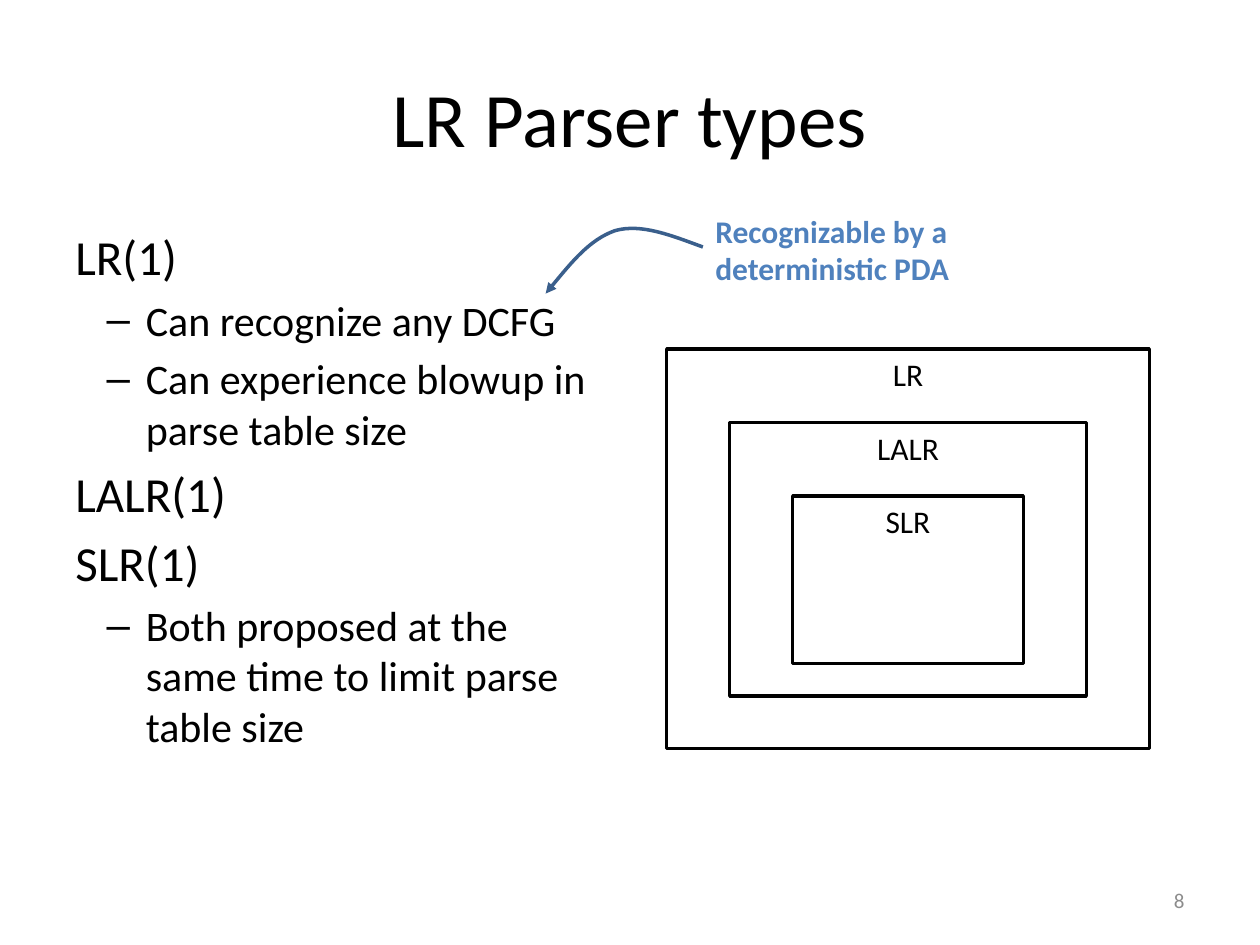
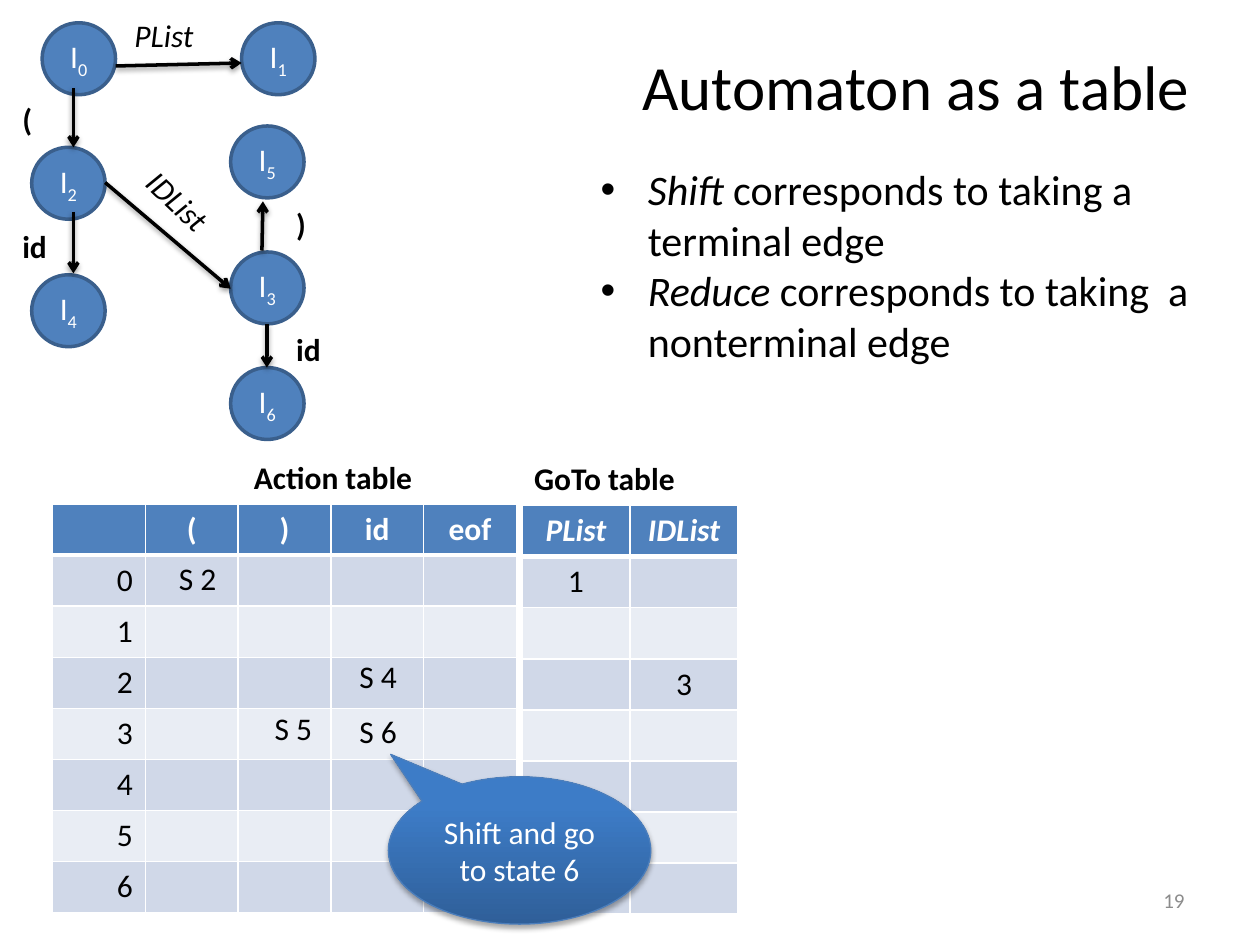
from lxml.etree import SubElement
from pptx import Presentation
from pptx.dml.color import RGBColor
from pptx.enum.shapes import MSO_CONNECTOR, MSO_SHAPE
from pptx.enum.text import MSO_ANCHOR, MSO_AUTO_SIZE, PP_ALIGN
from pptx.oxml.ns import qn
from pptx.util import Cm, Pt

FONT = "Calibri"
BLACK = RGBColor(0x00, 0x00, 0x00)
WHITE = RGBColor(0xFF, 0xFF, 0xFF)
BLUE = RGBColor(0x4F, 0x81, 0xBD)
DARK_BLUE = RGBColor(0x3A, 0x5F, 0x8C)
GREY = RGBColor(0x8C, 0x8C, 0x8C)
BANDS = RGBColor(0xD0, 0xD8, 0xE8), RGBColor(0xE9, 0xED, 0xF4)
CALLOUT_DARK = RGBColor(0x2F, 0x5F, 0x99)
CALLOUT_LIGHT = RGBColor(0x3D, 0x7C, 0xC7)
CALLOUT_LINE = RGBColor(0x4B, 0x7E, 0xBC)

# A paragraph is a string or a list of (text, style) runs.
# All places and sizes are in centimetres.
PARSER_TYPES = [
    ("LR(1)", ["Can recognize any DCFG", "Can experience blowup in parse table size"]),
    ("LALR(1)", []),
    ("SLR(1)", ["Both proposed at the same time to limit parse table size"]),
]
CLASSES = [("LR", 8.05), ("LALR", 5.51), ("SLR", 3.38)]  # name, height
DCFG_NOTE = ["Recognizable by a", "deterministic PDA"]
DCFG_CURVE = [(14.17, 4.98), (13.54, 4.75), (12.93, 4.5), (12.4, 4.65),
              (11.89, 4.83), (11.46, 5.36), (11, 5.92)]

EDGE_NOTES = [
    [("Shift", "i"), (" corresponds to taking a terminal edge", "")],
    [("Reduce", "i"), (" corresponds to taking  a nonterminal edge", "")],
]
STATES = {0: (0.85, 0.46), 1: (4.87, 0.46), 2: (0.64, 2.97), 3: (4.65, 5.08),
          4: (0.64, 5.54), 5: (4.65, 2.54), 6: (4.65, 7.41)}
EDGES = [
    (2.33, 1.33, 4.87, 1.27), (1.48, 1.78, 1.48, 2.97), (1.48, 4.27, 1.48, 5.51),
    (2.12, 3.68, 4.65, 5.82), (5.28, 5.05, 5.3, 4.06), (5.38, 6.53, 5.38, 7.41),
]
TERMINALS = [("(", 0.2, 1.9, 0.71), ("id", 0.2, 4.45, 1.02),
             (")", 5.72, 4.01, 0.71), ("id", 5.72, 6.53, 1.02)]
NONTERMINALS = [("PList", 2.46, 0.2, 1.73, 0), ("IDList", 2.62, 3.56, 1.96, 43.7)]
ACTION_ROWS = [["", "(", ")", "id", "eof"]] + [[str(n), "", "", "", ""] for n in range(7)]
GOTO_ROWS = [["PList", "IDList"], ["1", ""], ["", ""], ["", "3"]] + [["", ""]] * 4
SHIFTS = [("S 2", 3.35, 11.15), ("S 4", 6.99, 13.13), ("S 6", 6.99, 14.22), ("S 5", 5.28, 14.17)]
LABEL_H = 1.02
ROW_H = 1.03


def cm(*lengths):
    return [Cm(v) for v in lengths]


def write(tf, paras, size=18, color=BLACK, bold=False, italic=False,
          align=PP_ALIGN.LEFT, anchor=MSO_ANCHOR.TOP):
    """Fill a text frame; run style "i" is italic and "sub" a subscript."""
    tf.vertical_anchor = anchor
    for i, para in enumerate([paras] if isinstance(paras, str) else paras):
        p = tf.paragraphs[0] if i == 0 else tf.add_paragraph()
        p.alignment = align
        for text, style in [(para, "")] if isinstance(para, str) else para:
            r = p.add_run()
            r.text = text
            f = r.font
            f.name, f.size, f.bold = FONT, Pt(size), bold
            f.italic = italic or style == "i"
            f.color.rgb = color
            if style == "sub":
                r._r.get_or_add_rPr().set("baseline", "-25000")


def add_text(s, paras, box, wrap=True, rotation=0, **fmt):
    tb = s.shapes.add_textbox(*cm(*box))
    tb.rotation = rotation
    tf = tb.text_frame
    tf.word_wrap = wrap
    if not wrap:
        tf.auto_size = MSO_AUTO_SIZE.SHAPE_TO_FIT_TEXT
    write(tf, paras, **fmt)
    return tf


def add_label(s, text, left, top, width, **fmt):
    add_text(s, text, (left, top, width, LABEL_H), wrap=False, **fmt)


def add_number(s, number):
    add_text(s, number, (18.21, 17.65, 5.92, 1.01), size=12, color=GREY,
             align=PP_ALIGN.RIGHT, anchor=MSO_ANCHOR.MIDDLE)


def set_bullet(p, char, left, hang):
    pPr = p._p.get_or_add_pPr()
    pPr.set("marL", str(Cm(left)))
    pPr.set("indent", str(-Cm(hang)))
    SubElement(pPr, qn("a:buFont"), typeface="Arial")
    SubElement(pPr, qn("a:buChar"), char=char)


def set_line(shape, color, width=2):
    shape.line.color.rgb = color
    shape.line.width = Pt(width)


def set_arrow(shape, kind):
    SubElement(shape._element.spPr.find(qn("a:ln")), qn("a:tailEnd"), type=kind)


def set_shadow(shape, alpha, blur, dist):
    """Put a black shadow below the shape, after its line is set."""
    effects = SubElement(shape._element.spPr, qn("a:effectLst"))
    shadow = SubElement(effects, qn("a:outerShdw"), blurRad=str(Pt(blur)),
                        dist=str(Pt(dist)), dir="5400000", rotWithShape="0")
    black = SubElement(shadow, qn("a:srgbClr"), val=str(BLACK))
    SubElement(black, qn("a:alpha"), val=str(alpha * 1000))


def add_box(s, kind, box, paras, fill, line, **fmt):
    shape = s.shapes.add_shape(kind, *cm(*box))
    shape.shadow.inherit = False
    shape.fill.solid()
    shape.fill.fore_color.rgb = fill
    set_line(shape, line)
    write(shape.text_frame, paras, align=PP_ALIGN.CENTER, **fmt)


def add_curve(s, points):
    """Draw a chain of cubic Bézier curves: a start, then three points per curve."""
    pts = [tuple(cm(*pt)) for pt in points]
    builder = s.shapes.build_freeform(*pts[0])
    builder.add_line_segments(pts[1:], close=False)
    shape = builder.convert_to_shape()
    shape.shadow.inherit = False
    shape.fill.background()
    set_line(shape, DARK_BLUE)
    set_arrow(shape, "triangle")
    outline = next(shape._element.iter(qn("a:path")))
    steps = outline.findall(qn("a:lnTo"))
    for i in range(0, len(steps), 3):
        curve = SubElement(outline, qn("a:cubicBezTo"))
        for step in steps[i:i + 3]:
            curve.append(step[0])
            outline.remove(step)


def set_borders(cell, top, bottom):
    tcPr = cell._tc.get_or_add_tcPr()
    for i, (side, width) in enumerate([("L", 1), ("R", 1), ("T", top), ("B", bottom)]):
        ln = SubElement(tcPr, qn("a:ln" + side), w=str(Pt(width)))
        SubElement(SubElement(ln, qn("a:solidFill")), qn("a:srgbClr"), val=str(WHITE))
        tcPr.insert(i, ln)


def add_parse_table(s, rows, left, top, col_w, index_column=False, italic_header=False):
    n_cols = len(rows[0])
    table = s.shapes.add_table(len(rows), n_cols,
                               *cm(left, top, col_w * n_cols, ROW_H * len(rows))).table
    for col in table.columns:
        col.width = Cm(col_w)
    for i, row in enumerate(rows):
        table.rows[i].height = Cm(ROW_H)
        header = i == 0
        for j, text in enumerate(row):
            cell = table.cell(i, j)
            cell.fill.solid()
            cell.fill.fore_color.rgb = BLUE if header else BANDS[(i - 1) % 2]
            set_borders(cell, top=3 if i == 1 else 1, bottom=3 if header else 1)
            if text:
                is_index = index_column and j == 0
                write(cell.text_frame, text, color=WHITE if header else BLACK,
                      bold=header, italic=header and italic_header,
                      align=PP_ALIGN.RIGHT if is_index else PP_ALIGN.CENTER)


def parser_types_slide(s):
    add_text(s, "LR Parser types", (1.27, 0.76, 22.86, 3.18), size=44,
             align=PP_ALIGN.CENTER, anchor=MSO_ANCHOR.MIDDLE)

    tf = add_text(s, [], (1.27, 4.45, 11.23, 12.57))
    lines = []
    for name, notes in PARSER_TYPES:
        lines += [(name, 28)] + [(note, 24) for note in notes]
    for i, (text, size) in enumerate(lines):
        p = tf.paragraphs[0] if i == 0 else tf.add_paragraph()
        p.space_before = Pt(size * 0.2)
        if size == 24:
            set_bullet(p, "–", 1.42, 0.79)
        r = p.add_run()
        r.text = text
        r.font.name, r.font.size = FONT, Pt(size)
        r.font.color.rgb = BLACK
    add_number(s, "8")

    for i, (name, height) in enumerate(CLASSES):
        box = 13.44 + 1.27 * i, 7.04 + 1.48 * i, 9.73 - 2.54 * i, height
        add_box(s, MSO_SHAPE.RECTANGLE, box, name, WHITE, BLACK)
    add_curve(s, DCFG_CURVE)
    add_text(s, DCFG_NOTE, (14.17, 4.14, 5.26, 1.8), wrap=False, color=BLUE, bold=True)


def automaton_slide(s):
    for n, (left, top) in STATES.items():
        add_box(s, MSO_SHAPE.OVAL, (left, top, 1.48, 1.45), [[("I", ""), (str(n), "sub")]],
                BLUE, DARK_BLUE, color=WHITE, anchor=MSO_ANCHOR.MIDDLE)
    for edge in EDGES:
        line = s.shapes.add_connector(MSO_CONNECTOR.STRAIGHT, *cm(*edge))
        set_line(line, BLACK)
        set_arrow(line, "arrow")
        set_shadow(line, 38, 3.1, 1.6)
    for label in TERMINALS:
        add_label(s, *label, bold=True)
    for *label, rotation in NONTERMINALS:
        add_label(s, *label, italic=True, rotation=rotation)

    add_text(s, "Automaton as a table", (12.7, 0.84, 11.63, 1.8), wrap=False, size=36)
    tf = add_text(s, EDGE_NOTES, (10.59, 3.18, 14.4, 4.37), size=24)
    for p in tf.paragraphs:
        set_bullet(p, "•", 2.22, 0.95)

    add_parse_table(s, ACTION_ROWS, 1.06, 10.16, 1.87, index_column=True)
    for text, left, top in SHIFTS:
        add_label(s, text, left, top, 1.27, align=PP_ALIGN.CENTER)
    add_parse_table(s, GOTO_ROWS, 10.52, 10.19, 2.18, italic_header=True)
    add_label(s, "Action table", 4.87, 9.1, 3.73, bold=True)
    add_label(s, "GoTo table", 10.52, 9.13, 3.38, bold=True)
    add_number(s, "19")

    callout = s.shapes.add_shape(MSO_SHAPE.OVAL_CALLOUT, *cm(7.83, 15.66, 5.29, 2.97))
    callout.adjustments[0], callout.adjustments[1] = -0.491, -0.652
    callout.fill.gradient()
    callout.fill.gradient_angle = 90
    stops = callout.fill.gradient_stops
    for stop, color, position in zip(stops, (CALLOUT_DARK, CALLOUT_LIGHT), (0, 0.8)):
        stop.color.rgb = color
        stop.position = position
    set_line(callout, CALLOUT_LINE, 0.75)
    set_shadow(callout, 35, 3.1, 1.8)
    write(callout.text_frame, "Shift and go to state 6", color=WHITE,
          align=PP_ALIGN.CENTER, anchor=MSO_ANCHOR.MIDDLE)


def main():
    prs = Presentation()
    prs.slide_width, prs.slide_height = cm(25.4, 19.05)
    for build in (parser_types_slide, automaton_slide):
        build(prs.slides.add_slide(prs.slide_layouts[6]))
    prs.save("out.pptx")


if __name__ == "__main__":
    main()
